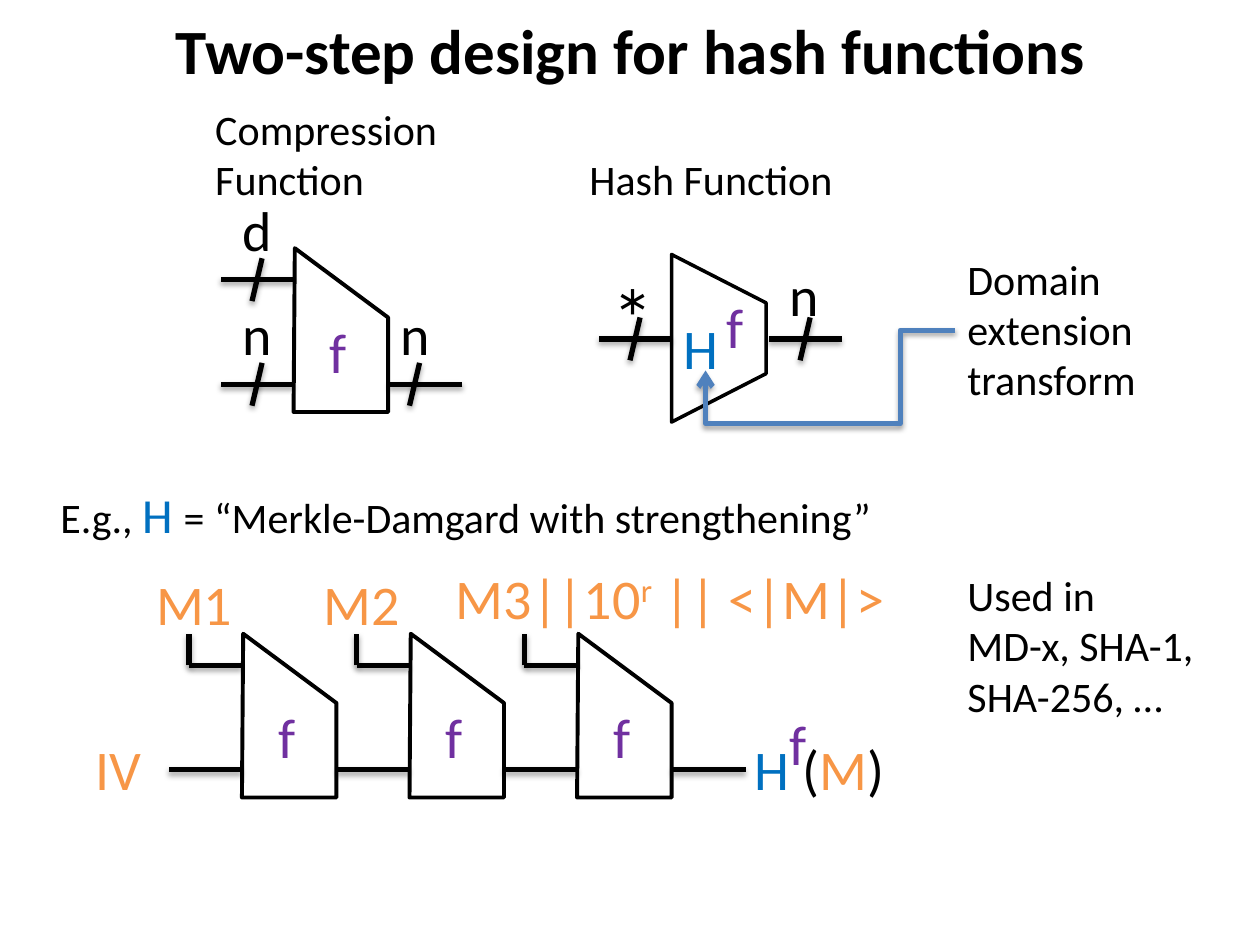
from lxml import etree
from pptx import Presentation
from pptx.dml.color import RGBColor
from pptx.enum.shapes import MSO_CONNECTOR, MSO_SHAPE
from pptx.enum.text import MSO_ANCHOR, MSO_AUTO_SIZE, PP_ALIGN
from pptx.oxml import parse_xml
from pptx.oxml.ns import nsdecls, qn
from pptx.util import Inches, Pt

BLACK = RGBColor(0x00, 0x00, 0x00)
WHITE = RGBColor(0xFF, 0xFF, 0xFF)
BLUE = RGBColor(0x00, 0x70, 0xC0)
PURPLE = RGBColor(0x70, 0x30, 0xA0)
ORANGE = RGBColor(0xF7, 0x96, 0x46)
STEEL = RGBColor(0x4F, 0x81, 0xBD)

LINE_SHADOW = (
    f'<a:effectLst {nsdecls("a")}><a:outerShdw blurRad="{Pt(3.1)}" dist="{Pt(1.8)}" '
    'dir="5400000" rotWithShape="0"><a:srgbClr val="000000"><a:alpha val="35000"/>'
    '</a:srgbClr></a:outerShdw></a:effectLst>'
)


def add_run(paragraph, text, size=24, color=BLACK, font="Calibri", bold=False, superscript=False):
    run = paragraph.add_run()
    run.text = text
    run.font.name = font
    run.font.size = Pt(size)
    run.font.bold = bold
    run.font.color.rgb = color
    if superscript:
        run._r.get_or_add_rPr().set("baseline", "30000")


class Diagram:
    def __init__(self, slide):
        self.slide = slide
        self.shapes = slide.shapes

    def title(self, text, left, top, width, height):
        title = self.shapes.title
        title.left, title.top = Inches(left), Inches(top)
        title.width, title.height = Inches(width), Inches(height)
        title.text_frame.vertical_anchor = MSO_ANCHOR.TOP
        title.text_frame.auto_size = MSO_AUTO_SIZE.NONE
        paragraph = title.text_frame.paragraphs[0]
        paragraph.alignment = PP_ALIGN.CENTER
        add_run(paragraph, text, size=36, bold=True)

    def text(self, left, top, width, height, *lines, wrap=False, **style):
        """Each line is a string, or a list of (text, style overrides) runs."""
        box = self.shapes.add_textbox(Inches(left), Inches(top), Inches(width), Inches(height))
        frame = box.text_frame
        frame.word_wrap = wrap
        frame.auto_size = MSO_AUTO_SIZE.SHAPE_TO_FIT_TEXT
        for index, line in enumerate(lines):
            paragraph = frame.add_paragraph() if index else frame.paragraphs[0]
            runs = [(line, {})] if isinstance(line, str) else line
            for words, overrides in runs:
                add_run(paragraph, words, **{**style, **overrides})

    def symbol(self, left, top, width, *lines, color=BLACK):
        self.text(left, top, width, 0.64, *lines, size=32, color=color)

    def wire(self, x1, y1, x2, y2, color=BLACK, kind=MSO_CONNECTOR.STRAIGHT):
        wire = self.shapes.add_connector(kind, Inches(x1), Inches(y1), Inches(x2), Inches(y2))
        wire.line.color.rgb = color
        wire.line.width = Pt(3)
        wire._element.spPr.append(parse_xml(LINE_SHADOW))
        return wire

    def width_mark(self, x, y):
        """Slash across a wire, centred on (x, y)."""
        self.wire(x - 0.04, y + 0.17, x + 0.04, y - 0.17)

    def pointer(self, x1, y1, x2, y2, turn, drop):
        """Three-bend arrow; turn and drop are fractions of its width and height."""
        pointer = self.wire(x1, y1, x2, y2, STEEL, MSO_CONNECTOR.ELBOW)
        geometry = pointer._element.spPr.find(qn("a:prstGeom"))
        geometry.set("prst", "bentConnector4")
        guides = geometry.get_or_add_avLst()
        for name, value in (("adj1", turn), ("adj2", drop)):
            etree.SubElement(guides, qn("a:gd"), name=name, fmla=f"val {round(value * 100000)}")
        etree.SubElement(pointer.line._get_or_add_ln(), qn("a:tailEnd"), type="arrow")

    def outline(self, shape, width):
        shape.shadow.inherit = False
        shape.fill.solid()
        shape.fill.fore_color.rgb = WHITE
        shape.line.color.rgb = BLACK
        shape.line.width = Pt(width)

    def compressor(self, left, top, data_wire, label_width):
        """Compression box f with its data input above its chaining input."""
        corners = [(0.75, 1.3), (0.75, 0.55), (0.01, 0), (0, 1.3)]
        builder = self.shapes.build_freeform(Inches(left), Inches(top + 1.3))
        builder.add_line_segments(
            [(Inches(left + x), Inches(top + y)) for x, y in corners], close=True)
        self.outline(builder.convert_to_shape(), 2.25)
        self.wire(left, top + 0.25, left - data_wire, top + 0.25)
        self.wire(left, top + 1.08, left - 0.58, top + 1.08)
        self.symbol(left + 0.19, top + 0.5, label_width, "f", color=PURPLE)

    def hash_box(self, left, top, width, height):
        box = self.shapes.add_shape(
            MSO_SHAPE.TRAPEZOID, Inches(left), Inches(top), Inches(width), Inches(height))
        box.rotation = 90
        box.adjustments[0] = 0.512
        self.outline(box, 2)


def main():
    prs = Presentation()
    prs.slide_width, prs.slide_height = Inches(10), Inches(7.5)
    diagram = Diagram(prs.slides.add_slide(prs.slide_layouts[5]))
    diagram.title("Two-step design for hash functions", 0.42, 0.04, 9.17, 0.71)

    # Compression function
    diagram.text(1.61, 0.77, 1.98, 0.91, "Compression", "Function")
    diagram.compressor(2.33, 1.97, data_wire=0.58, label_width=0.31)
    diagram.wire(3.67, 3.05, 3.08, 3.05)
    for x, y in ((2.04, 2.22), (2.04, 3.05), (3.29, 3.05)):
        diagram.width_mark(x, y)
    for label, left, top in (("d", 1.83, 1.5), ("n", 1.83, 2.33), ("n", 3.08, 2.33)):
        diagram.symbol(left, top, 0.43, label)

    # Hash function
    diagram.text(4.58, 1.17, 2.15, 0.5, "Hash Function")
    diagram.hash_box(5.04, 2.31, 1.33, 0.75)
    diagram.symbol(5.33, 2.44, 0.53, "H", color=BLUE)
    diagram.symbol(5.67, 2.27, 0.31, "f", color=PURPLE)
    for wire_left, mark_x in ((4.75, 5.04), (6.1, 6.39)):
        diagram.wire(wire_left + 0.58, 2.69, wire_left, 2.69)
        diagram.width_mark(mark_x, 2.69)
    diagram.text(4.82, 2.11, 0.51, 0.77, "*", size=40, font="Montserrat")
    diagram.symbol(6.17, 2.02, 0.43, "n")
    diagram.text(7.58, 1.96, 1.57, 1.31, "Domain", "extension", "transform")
    diagram.pointer(7.58, 2.62, 5.6, 2.94, turn=0.22, drop=2.31)

    # Chained construction
    diagram.text(0.38, 3.8, 9.42, 0.57, [
        ("E.g., ", {}),
        ("H ", {"size": 28, "color": BLUE}),
        ("= “Merkle-Damgard with strengthening”", {}),
    ], wrap=True)
    diagram.text(7.58, 4.47, 2.02, 1.31, "Used in", "MD-x, SHA-1,", "SHA-256, …")
    for stage in range(3):
        left = 1.92 + 1.33 * stage
        diagram.compressor(left, 5.03, data_wire=0.42, label_width=0.34)
        diagram.wire(left - 0.42, 5.28, left - 0.42, 5.03)
    diagram.wire(5.92, 6.11, 5.33, 6.11)
    diagram.symbol(0.66, 5.78, 0.59, "IV", color=ORANGE)
    diagram.symbol(1.14, 4.47, 0.81, "M1", color=ORANGE)
    diagram.symbol(2.47, 4.47, 0.81, "M2", color=ORANGE)
    diagram.symbol(3.52, 4.42, 3.65, [
        ("M3||10", {}), ("r", {"superscript": True}), (" || <|M|>", {}),
    ], color=ORANGE)
    diagram.symbol(5.89, 5.78, 1.24, [
        ("H ", {"color": BLUE}), ("(", {}), ("M", {"color": ORANGE}), (")", {}),
    ])
    diagram.symbol(6.17, 5.58, 0.34, "f", color=PURPLE)

    prs.save("out.pptx")


if __name__ == "__main__":
    main()
